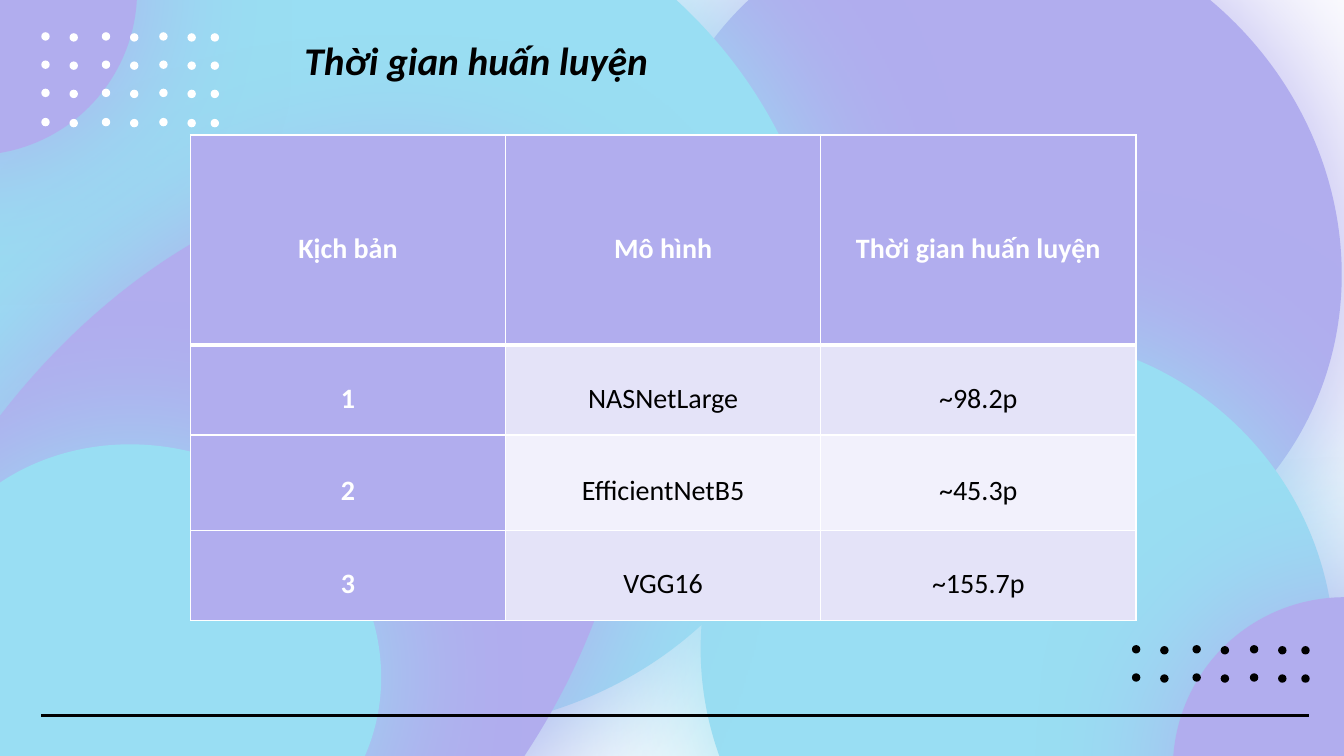
from itertools import product
from lxml.etree import SubElement
from pptx import Presentation
from pptx.dml.color import RGBColor
from pptx.enum.shapes import MSO_CONNECTOR, MSO_SHAPE
from pptx.enum.text import MSO_ANCHOR, MSO_AUTO_SIZE, PP_ALIGN
from pptx.oxml.ns import qn
from pptx.util import Inches, Pt

WHITE = RGBColor(0xFF, 0xFF, 0xFF)
BLACK = RGBColor(0, 0, 0)
LILAC = RGBColor(0xB1, 0xAD, 0xEE)
AQUA = RGBColor(0x99, 0xDE, 0xF3)
BANDS = RGBColor(0xE4, 0xE3, 0xF8), RGBColor(0xF2, 0xF1, 0xFC)

WIDE, HIGH = Inches(13.33), Inches(7.5)
COLS, ROWS = 160, 90

BLOBS = [
    ((76.32, -9.36, 84.36, 79.08), 37.4, LILAC),
    ((83.28, 40.08, 75.72, 75), 37.4, AQUA),
    ((-6.84, -13.44, 106.8, 98.88), 37.4, AQUA),
    ((139.56, 71.16, 41.4, 41.04), 37.4, LILAC),
    ((-7.8, 15, 74.4, 114.6), 37.4, LILAC),
    ((-8.16, 50.52, 51.12, 56.64), 111.4, AQUA),
    ((-22.8, -20.64, 39.12, 39.12), 0, LILAC),
]
DOT_COLS = (0, 3.36, 7.2, 10.56, 14.04, 17.4, 20.16)
DOT_ROWS = (0, 3.36, 6.72, 10.2)
LOWER = (3.36, 10.56, 17.4, 20.16)

TITLE = "Thời gian huấn luyện"
DATA = [
    ("Kịch bản", "Mô hình", "Thời gian huấn luyện"),
    ("1", "NASNetLarge", "~98.2p"),
    ("2", "EfficientNetB5", "~45.3p"),
    ("3", "VGG16", "~155.7p"),
]
TALL = (25, 10.7, 11.4, 10.7)


def span(box):
    """Turn a box in grid columns and rows into slide lengths."""
    return [round(n * unit) for n, unit in zip(box, (WIDE / COLS, HIGH / ROWS) * 2)]


def format(thing, values):
    """Set each attribute of a thing from a dict."""
    for name, value in values.items():
        setattr(thing, name, value)


def ink(font, size, color, **more):
    """Format a font."""
    format(font, {"name": "Calibri", "size": Pt(size), **more})
    font.color.rgb = color


def paint(node, color):
    """Add a solid colour to an XML node."""
    fill = SubElement(node, qn("a:solidFill"))
    SubElement(fill, qn("a:srgbClr"), val=str(color))


def oval(shapes, box, color):
    """Draw a plain oval without outline."""
    shape = shapes.add_shape(MSO_SHAPE.OVAL, *span(box))
    shape.shadow.inherit = False
    shape.fill.solid()
    shape.fill.fore_color.rgb = color
    shape.line.fill.background()
    return shape


def blob(shapes, box, turn, color):
    """Draw a turned oval with a wide soft glow."""
    shape = oval(shapes, box, color)
    shape.rotation = turn
    effects = shape.element.spPr.find(qn("a:effectLst"))
    glow = SubElement(effects, qn("a:outerShdw"), blurRad=str(Pt(112.5)),
                      dist=str(Pt(0.8)), dir="0", algn="ctr", rotWithShape="0")
    SubElement(glow, qn("a:srgbClr"), val=str(color))


def dots(shapes, left, top, count, color):
    """Draw a grouped grid of dots with the given number of rows."""
    group = shapes.add_group_shape()
    for x, y in product(DOT_COLS, DOT_ROWS[:count]):
        drop = 0.12 if x in LOWER else 0
        oval(group.shapes, (left + x, top + y + drop, 1, 1), color)


def rule(shapes, left, right, y):
    """Draw the line along the foot of the slide."""
    line = shapes.add_connector(MSO_CONNECTOR.STRAIGHT, *span((left, y, right, y)))
    line.line.color.rgb = BLACK
    line.line.width = Pt(2.25)
    SubElement(line.element.spPr, qn("a:effectLst"))


def head(shapes, box):
    """Place the title above the backdrop."""
    title = shapes.title
    shapes.element.append(title.element)
    format(title, dict(zip(("left", "top", "width", "height"), span(box))))
    frame = title.text_frame
    frame.text = TITLE
    format(frame, {"auto_size": MSO_AUTO_SIZE.SHAPE_TO_FIT_TEXT,
                   "vertical_anchor": MSO_ANCHOR.TOP, "word_wrap": True})
    par = frame.paragraphs[0]
    par.alignment = PP_ALIGN.LEFT
    ink(par.font, 28, BLACK, bold=True, italic=True)


def edge(cell, sides):
    """Draw white borders of the given widths around a cell."""
    props = cell._tc.get_or_add_tcPr()
    for side, width in sides.items():
        paint(SubElement(props, qn(f"a:ln{side}"), w=str(Pt(width))), WHITE)


def grid(shapes, box):
    """Build the table of training times."""
    table = shapes.add_table(len(DATA), len(DATA[0]), *span(box)).table
    format(table, {"first_row": False, "horz_banding": False})
    for row, tall in zip(table.rows, TALL):
        row.height = round(tall * HIGH / ROWS)
    for (r, row), c in product(enumerate(DATA), range(len(DATA[0]))):
        cell = table.cell(r, c)
        bold = r == 0 or c == 0
        pad = Inches(0.07 if r and c == 2 else 0.12)
        cell.text = row[c]
        format(cell, {"vertical_anchor": MSO_ANCHOR.MIDDLE, "margin_left": pad,
                      "margin_right": pad, "margin_top": 0, "margin_bottom": 0})
        edge(cell, {"L": 1, "R": 1, "T": 3 if r == 1 else 1, "B": 1 if r else 3})
        cell.fill.solid()
        cell.fill.fore_color.rgb = LILAC if bold else BANDS[(r - 1) % 2]
        par = cell.text_frame.paragraphs[0]
        format(par, {"alignment": PP_ALIGN.CENTER, "line_spacing": 1.5})
        ink(par.font, 20, WHITE if bold else BLACK, bold=bold)


def main():
    """Build and save the slide."""
    deck = Presentation()
    format(deck, {"slide_width": WIDE, "slide_height": HIGH})
    shapes = deck.slides.add_slide(deck.slide_layouts[5]).shapes
    for item in BLOBS:
        blob(shapes, *item)
    rule(shapes, 4.92, 155.88, 85.2)
    dots(shapes, 4.92, 3.84, 4, WHITE)
    dots(shapes, 134.76, 76.8, 2, BLACK)
    grid(shapes, (22.68, 16.08, 112.56, sum(TALL)))
    head(shapes, (35.04, 3.72, 72.96, 6.84))
    deck.save("out.pptx")


if __name__ == "__main__":
    main()
